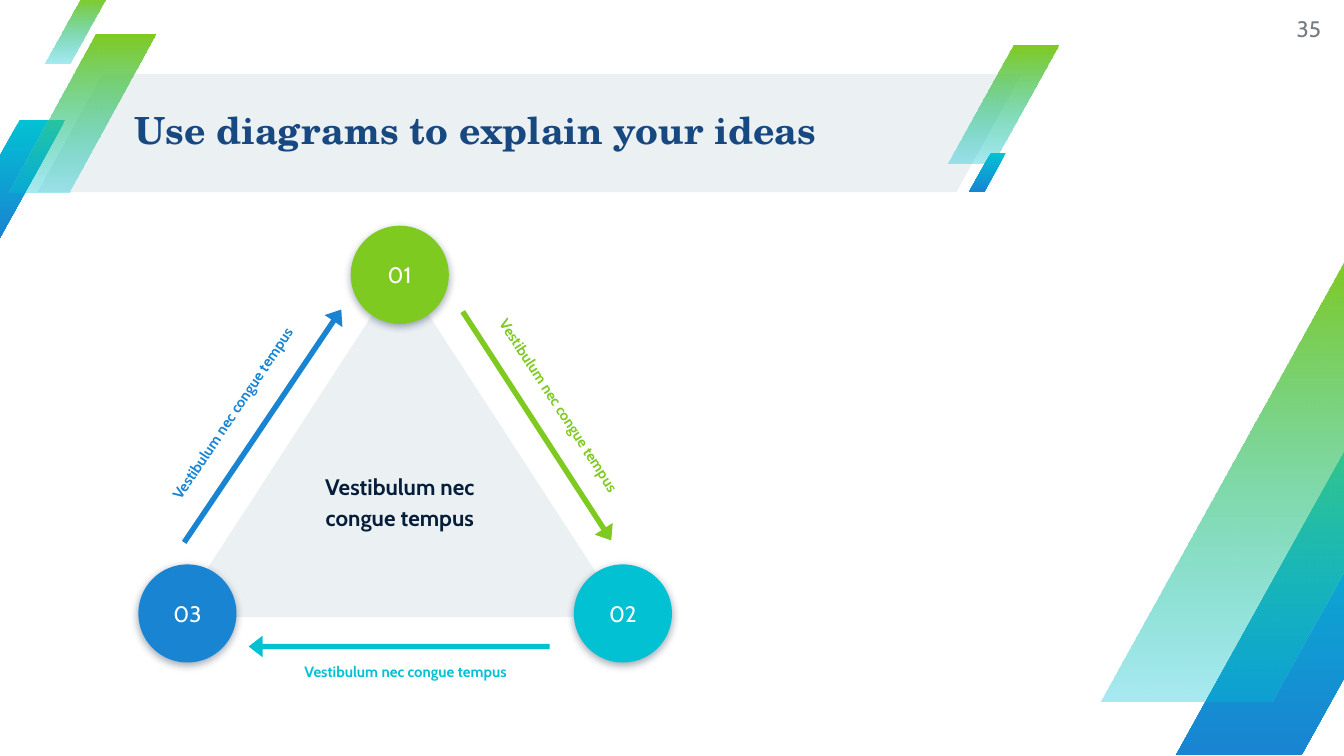
from lxml import etree
from pptx import Presentation
from pptx.dml.color import RGBColor
from pptx.enum.shapes import MSO_SHAPE
from pptx.enum.text import MSO_ANCHOR, PP_ALIGN
from pptx.oxml.ns import qn
from pptx.util import Inches, Pt

SLASH, TRIANGLE = MSO_SHAPE.PARALLELOGRAM, MSO_SHAPE.ISOSCELES_TRIANGLE
ARROW, CIRCLE = MSO_SHAPE.RIGHT_ARROW, MSO_SHAPE.OVAL
TOP, MIDDLE = MSO_ANCHOR.TOP, MSO_ANCHOR.MIDDLE
LEFT, CENTER, RIGHT = PP_ALIGN.LEFT, PP_ALIGN.CENTER, PP_ALIGN.RIGHT

# The slide is a grid of square cells: 100 columns by 56.25 rows
COLUMNS, ROWS = 100, 56.25
CELL = Inches(0.1)
CIRCLE_SIZE = 7.3
ARROW_HEIGHT = 1.6
LABEL_EXTENT = (21.4, 3.8)
SLASH_RATIO = 0.94

COLOURS = {
    "pale": "EBF0F3", "green": "7FCA20", "cyan": "02C1D3", "blue": "1985D2",
    "title": "184880", "ink": "061E3A", "grey": "757C83", "white": "FFFFFF",
}
# Each gradient: top colour, bottom colour, opacity of the bottom in percent
GRADIENTS = {"sea": ("cyan", "blue", 100), "leaf": ("green", "cyan", 34)}
LABEL = "Vestibulum nec congue tempus"

# left, top, height, gradient
SLASHES = [
    (-3.4, 8.9, 8.8, "sea"),
    (70.5, 3.4, 8.8, "leaf"),
    (0.6, 2.6, 11.7, "leaf"),
    (3.3, -0.2, 4.9, "leaf"),
    (72.1, 11.4, 2.9, "sea"),
    (87.5, 32, 24.2, "sea"),
    (81.9, 19.2, 33, "leaf"),
]
# number, colour, circle corner, arrow corner, arrow length, arrow turn,
# label corner, label turn
STEPS = [
    ("02", "cyan", (42.7, 42), (18.5, 47.3), 22.4, 180, (19.5, 48.3), 0),
    ("03", "blue", (10.3, 42), (9.1, 30.9), 20.9, 304, (6.8, 29), 303.9),
    ("01", "green", (26.1, 16.8), (29.8, 30.9), 20.3, 57, (30.65, 28.4), 57),
]


def colour(name):
    return RGBColor.from_string(COLOURS[name])


def cells(*counts):
    return [round(count * CELL) for count in counts]


def write(box, text, size=12, color="ink", font="Cabin", bold=False,
          align=CENTER, anchor=TOP, spacing=None, inset=1):
    frame = box.text_frame
    frame.word_wrap = True
    frame.vertical_anchor = anchor
    frame.margin_left = frame.margin_right = round(inset * CELL)
    frame.margin_top = frame.margin_bottom = round(inset * CELL)
    para = frame.paragraphs[0]
    para.alignment = align
    para.line_spacing = spacing
    span = para.add_run()
    span.text = text
    span.font.name, span.font.size, span.font.bold = font, Pt(size), bold
    span.font.color.rgb = colour(color)


def add_text(page, corner, extent, text, turn=0, **style):
    box = page.shapes.add_textbox(*cells(*corner, *extent))
    box.rotation = turn
    write(box, text, **style)


def add_figure(page, kind, corner, extent, fill=None, turn=0, adjust=()):
    shape = page.shapes.add_shape(kind, *cells(*corner, *extent))
    shape.shadow.inherit = False
    shape.line.fill.background()
    shape.rotation = turn
    for index, value in enumerate(adjust):
        shape.adjustments[index] = value
    if fill:
        shape.fill.solid()
        shape.fill.fore_color.rgb = colour(fill)
    return shape


def add_alpha(color_element, percent):
    etree.SubElement(color_element, qn("a:alpha"), val=str(percent * 1000))


def add_slash(page, left, top, height, gradient):
    shape = add_figure(page, SLASH, (left, top), (height * SLASH_RATIO, height),
                       adjust=[0.59])
    first, last, opacity = GRADIENTS[gradient]
    shape.fill.gradient()
    shape.fill.gradient_angle = 270
    for stop, name, place in zip(shape.fill.gradient_stops, (first, last), (0, 1)):
        stop.color.rgb = colour(name)
        stop.position = place
    if opacity < 100:
        add_alpha(list(shape.element.spPr.iter(qn("a:srgbClr")))[-1], opacity)


def add_soft_shadow(shape):
    effects = shape.element.spPr.find(qn("a:effectLst"))
    shadow = etree.SubElement(
        effects, qn("a:outerShdw"), blurRad=str(Pt(4.5)), dist=str(Pt(1.5)),
        dir=str(90 * 60000), algn="bl", rotWithShape="0")
    tint = etree.SubElement(shadow, qn("a:srgbClr"), val=COLOURS["ink"])
    add_alpha(tint, 38)


def add_step(page, number, color, circle_at, arrow_at, length, arrow_turn,
             label_at, label_turn):
    add_figure(page, ARROW, arrow_at, (length, ARROW_HEIGHT), color,
               turn=arrow_turn, adjust=[0.255, 0.643])
    circle = add_figure(page, CIRCLE, circle_at, (CIRCLE_SIZE, CIRCLE_SIZE), color)
    add_soft_shadow(circle)
    write(circle, number, color="white", anchor=MIDDLE)
    add_text(page, label_at, LABEL_EXTENT, LABEL, turn=label_turn, size=8,
             color=color, bold=True, spacing=1.15)


def main():
    deck = Presentation()
    deck.slide_width, deck.slide_height = cells(COLUMNS, ROWS)
    page = deck.slides.add_slide(deck.slide_layouts[6])

    # Title band and decorative slashes
    add_figure(page, SLASH, (2.8, 5.5), (73.2, 8.8), "pale", adjust=[0.55])
    for slash in SLASHES:
        add_slash(page, *slash)

    # Title and page number
    add_text(page, (10, 5.4), (65.9, 8.9), "Use diagrams to explain your ideas",
             size=20, color="title", font="TeX Gyre Schola", bold=True,
             align=LEFT, anchor=MIDDLE, spacing=0.9, inset=0)
    add_text(page, (93.6, 0), (4.7, 4.3), "35", color="grey", align=RIGHT,
             anchor=MIDDLE, inset=0)

    # Triangle with the cycle of steps around it
    add_figure(page, TRIANGLE, (13.1, 20.2), (33.4, 25.7), "pale")
    add_text(page, (20.5, 33.9), (18.5, 10.3), LABEL, bold=True, spacing=1.15)
    for step in STEPS:
        add_step(page, *step)

    deck.save("out.pptx")


if __name__ == "__main__":
    main()
